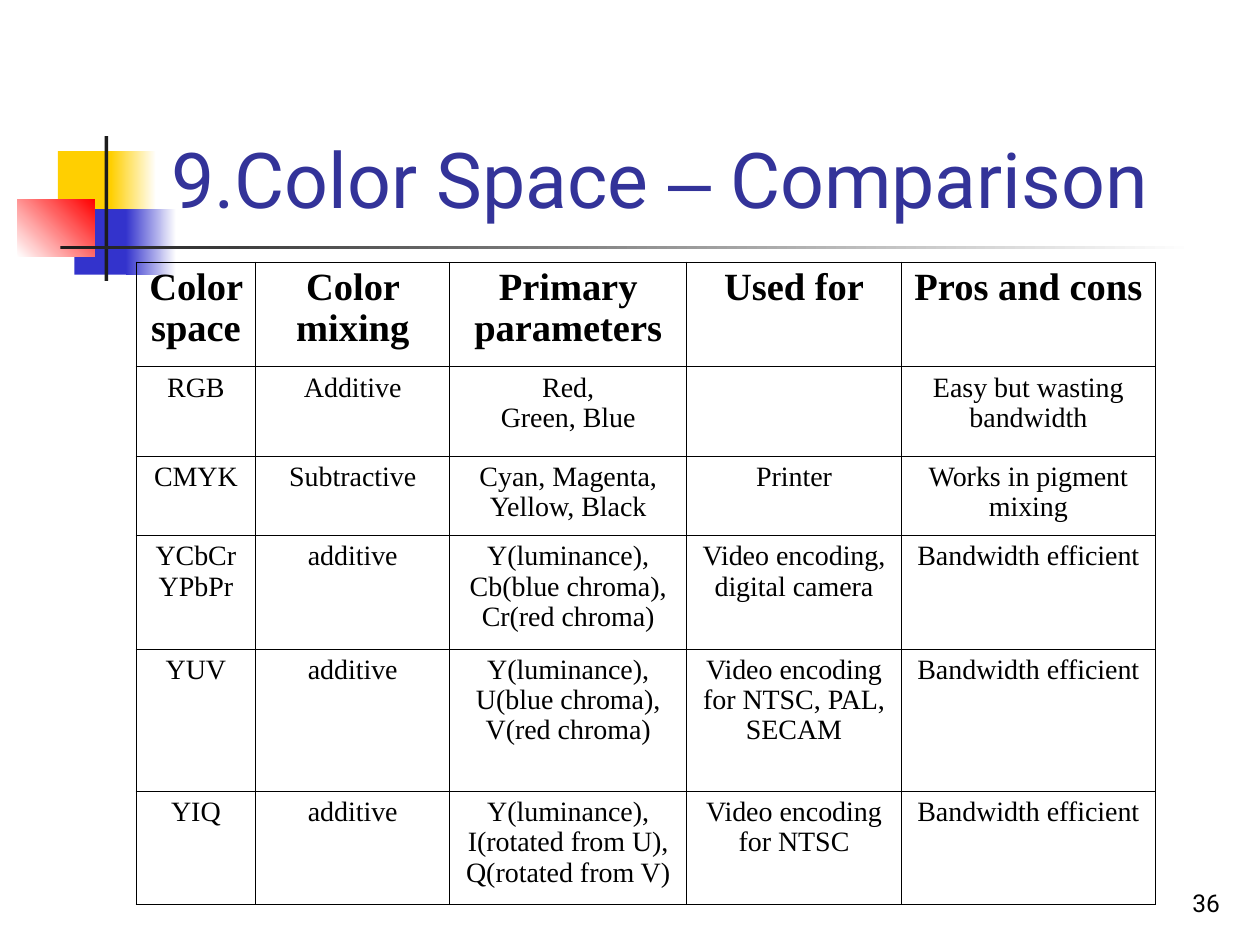
"""Build the color space comparison slide."""
from dataclasses import dataclass
from typing import Any, Optional

import pptx
import pptx.dml.color
import pptx.enum.shapes
import pptx.enum.text
import pptx.oxml
import pptx.oxml.ns
import pptx.util

SLIDE_WIDTH = pptx.util.Inches(10)
SLIDE_HEIGHT = pptx.util.Inches(7.5)
GRID_COLUMNS, GRID_ROWS = 100, 75
COLORS = {
    "yellow": "FFCF01", "blue": "3333CC", "red": "FF0000", "white": "FFFFFF",
    "charcoal": "1C1C1C", "title": "333399", "text": "000000",
}
ALIGN = pptx.enum.text.PP_ALIGN
FORMATS: dict[str, dict[str, Any]] = {
    "title": {"size": pptx.util.Pt(44), "name": "Roboto"},
    "number": {"size": pptx.util.Pt(14), "name": "Roboto"},
    "header": {"size": pptx.util.Pt(22), "name": "Times New Roman", "bold": True},
    "body": {"size": pptx.util.Pt(16), "name": "Times New Roman", "bold": False},
}
LINE_SPACING = {"header": 0.95, "body": 0.97}
TITLE_RUNS = [("9.Color Space ", "Roboto"), ("–", "Arial"), (" Comparison", "Roboto")]
TABLE_LEFT, TABLE_TOP = 10.8, 20.8
COLUMN_WIDTHS = [9.5, 15.4, 18.8, 17.05, 20.15]
ROW_HEIGHTS = [8.3, 7.1, 6.3, 9, 11.3, 9]
TABLE_TEXT = [
    ["Color space", "Color mixing", "Primary parameters", "Used for", "Pros and cons"],
    ["RGB", "Additive", "Red,\nGreen, Blue", "", "Easy but wasting bandwidth"],
    ["CMYK", "Subtractive", "Cyan, Magenta, Yellow, Black", "Printer",
     "Works in pigment mixing"],
    ["YCbCr\nYPbPr", "additive", "Y(luminance), Cb(blue chroma), Cr(red chroma)",
     "Video encoding, digital camera", "Bandwidth efficient"],
    ["YUV", "additive", "Y(luminance),\nU(blue chroma), V(red chroma)",
     "Video encoding for NTSC, PAL, SECAM", "Bandwidth efficient"],
    ["YIQ", "additive", "Y(luminance),\nI(rotated from U),\nQ(rotated from V)",
     "Video encoding for NTSC", "Bandwidth efficient"],
]


@dataclass(frozen=True)
class Block:
    """A decorative rectangle in grid units, fading when it has an end color."""

    left: float
    top: float
    width: float
    height: float
    color: str
    end_color: Optional[str] = None
    angle: float = 0


BLOCKS = [
    Block(4.6, 12, 4.8, 5.2, "yellow"),
    Block(8.8, 12, 3.6, 5.2, "yellow", "white"),
    Block(5.9, 16.6, 4.6, 5.2, "blue"),
    Block(10, 16.6, 4, 5.2, "blue", "white"),
    Block(1.4, 15.8, 6.1, 4.6, "white", "red", 45),
    Block(8.3, 10.8, 0.3, 11.5, "charcoal"),
    Block(4.8, 19.5, 90, 0.3, "charcoal", "white"),
]


def across(columns: float) -> int:
    """Return the length of a number of grid columns."""
    return round(SLIDE_WIDTH * columns / GRID_COLUMNS)


def down(rows: float) -> int:
    """Return the length of a number of grid rows."""
    return round(SLIDE_HEIGHT * rows / GRID_ROWS)


def box(left: float, top: float, width: float, height: float) -> tuple[int, ...]:
    """Return a grid rectangle as slide lengths."""
    return across(left), down(top), across(width), down(height)


def rgb(color: str) -> pptx.dml.color.RGBColor:
    """Return a named color."""
    return pptx.dml.color.RGBColor.from_string(COLORS[color])


def set_attributes(target: Any, values: dict[str, Any]) -> None:
    """Set every given attribute on the target."""
    for name, value in values.items():
        setattr(target, name, value)


def style_font(font: Any, style: str, color: str) -> None:
    """Apply a named format and a color to a font."""
    set_attributes(font, FORMATS[style])
    font.color.rgb = rgb(color)


def draw_block(slide: Any, block: Block) -> None:
    """Draw one decorative rectangle."""
    shape = slide.shapes.add_shape(
        pptx.enum.shapes.MSO_SHAPE.RECTANGLE,
        *box(block.left, block.top, block.width, block.height))
    shape.shadow.inherit = False
    shape.line.fill.background()
    if block.end_color is None:
        shape.fill.solid()
        shape.fill.fore_color.rgb = rgb(block.color)
        return
    shape.fill.gradient()
    shape.fill.gradient_angle = block.angle
    for stop, color in zip(shape.fill.gradient_stops, (block.color, block.end_color)):
        stop.color.rgb = rgb(color)


def write_title(slide: Any) -> None:
    """Place the title placeholder above the decoration and fill it."""
    title = slide.shapes.title
    title.element.getparent().append(title.element)
    bounds = box(12.6, 2.3, 85.2, 16)
    set_attributes(title, dict(zip(("left", "top", "width", "height"), bounds)))
    set_attributes(title.text_frame, {
        "vertical_anchor": pptx.enum.text.MSO_ANCHOR.BOTTOM,
        "auto_size": pptx.enum.text.MSO_AUTO_SIZE.NONE,
        "word_wrap": True,
    })
    paragraph = title.text_frame.paragraphs[0]
    paragraph.alignment = ALIGN.LEFT
    for text, font_name in TITLE_RUNS:
        run = paragraph.add_run()
        run.text = text
        style_font(run.font, "title", "title")
        run.font.name = font_name


def write_slide_number(slide: Any, text: str) -> None:
    """Write the slide number at the lower right."""
    frame = slide.shapes.add_textbox(*box(77, 68.3, 20.8, 5)).text_frame
    set_attributes(frame, {
        "word_wrap": True, "vertical_anchor": pptx.enum.text.MSO_ANCHOR.BOTTOM})
    paragraph = frame.paragraphs[0]
    paragraph.alignment = ALIGN.RIGHT
    run = paragraph.add_run()
    run.text = text
    style_font(run.font, "number", "text")


def border_cell(cell: Any) -> None:
    """Draw thin lines on all four sides of a cell."""
    properties = cell._tc.get_or_add_tcPr()
    for index, side in enumerate(("lnL", "lnR", "lnT", "lnB")):
        properties.insert(index, pptx.oxml.parse_xml(
            f'<a:{side} {pptx.oxml.ns.nsdecls("a")} w="{pptx.util.Pt(0.45)}">'
            f'<a:solidFill><a:srgbClr val="{COLORS["text"]}"/></a:solidFill></a:{side}>'))


def fill_cell(cell: Any, text: str, style: str) -> None:
    """Write and format one table cell."""
    cell.text = text
    cell.fill.background()
    border_cell(cell)
    for paragraph in cell.text_frame.paragraphs:
        set_attributes(paragraph, {
            "alignment": ALIGN.CENTER, "line_spacing": LINE_SPACING[style]})
        for run in paragraph.runs:
            style_font(run.font, style, "text")


def draw_table(slide: Any) -> None:
    """Draw the comparison table."""
    table = slide.shapes.add_table(
        len(ROW_HEIGHTS), len(COLUMN_WIDTHS),
        *box(TABLE_LEFT, TABLE_TOP, sum(COLUMN_WIDTHS), sum(ROW_HEIGHTS))).table
    set_attributes(table, {"first_row": False, "horz_banding": False})
    for column, width in zip(table.columns, COLUMN_WIDTHS):
        column.width = across(width)
    for index, (row, height) in enumerate(zip(table.rows, ROW_HEIGHTS)):
        row.height = down(height)
        for cell, text in zip(row.cells, TABLE_TEXT[index]):
            fill_cell(cell, text, "body" if index else "header")


def main() -> None:
    """Build and save the presentation."""
    presentation = pptx.Presentation()
    set_attributes(presentation, {
        "slide_width": SLIDE_WIDTH, "slide_height": SLIDE_HEIGHT})
    slide = presentation.slides.add_slide(presentation.slide_layouts[5])
    for block in BLOCKS:
        draw_block(slide, block)
    write_slide_number(slide, "36")
    write_title(slide)
    draw_table(slide)
    presentation.save("out.pptx")


if __name__ == "__main__":
    main()
